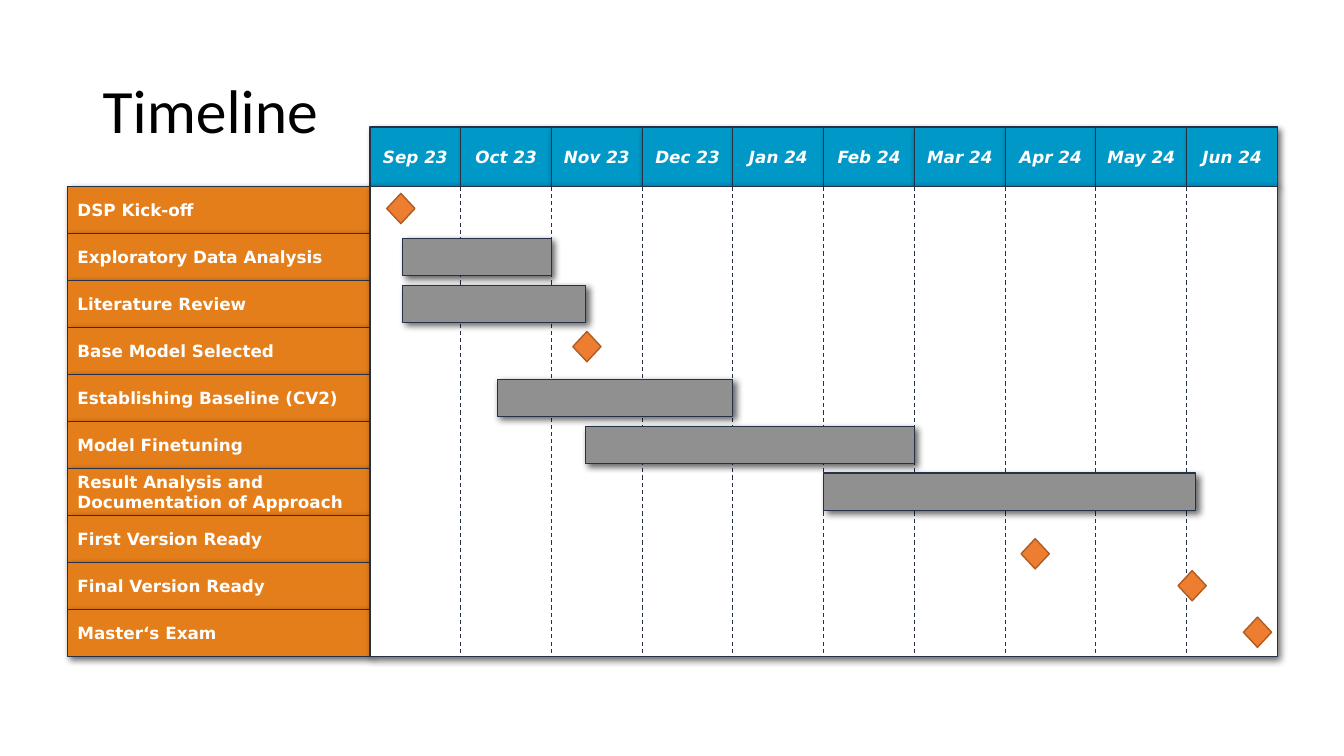
from dataclasses import dataclass

import lxml.etree
import pptx
import pptx.dml.color
import pptx.enum.dml
import pptx.enum.shapes
import pptx.enum.text
import pptx.oxml
import pptx.oxml.ns
import pptx.util
from pptx.util import Inches, Pt

Shape = pptx.enum.shapes.MSO_SHAPE
Align = pptx.enum.text.PP_ALIGN


@dataclass(frozen=True)
class Theme:
    """Colours, fonts and type sizes of the slide."""
    month: str = "0098C7"
    task: str = "E47E1A"
    bar: str = "909090"
    milestone: str = "ED7D31"
    milestone_line: str = "AF5C24"
    outline: str = "263147"
    light: str = "FFFFFF"
    dark: str = "000000"
    title_font: str = "Calibri"
    label_font: str = "DejaVu Sans"
    title_size: int = 44
    label_size: int = 12


@dataclass(frozen=True)
class Box:
    """A rectangle in inches."""
    left: float
    top: float
    width: float
    height: float

    def lengths(self):
        """Return the four measures as slide lengths."""
        return [Inches(value) for value in (self.left, self.top, self.width, self.height)]


THEME = Theme()
MONTHS = ["Sep 23", "Oct 23", "Nov 23", "Dec 23", "Jan 24",
          "Feb 24", "Mar 24", "Apr 24", "May 24", "Jun 24"]
TASKS = ["DSP Kick-off", "Exploratory Data Analysis", "Literature Review",
         "Base Model Selected", "Establishing Baseline (CV2)", "Model Finetuning",
         "Result Analysis and Documentation of Approach", "First Version Ready",
         "Final Version Ready", "Master‘s Exam"]
# Bars hold row, first month and last month; milestones hold row and month.
BARS = [(1, 0.36, 2), (2, 0.36, 2.38), (4, 1.4, 4), (5, 2.37, 6), (6, 5, 9.1)]
MILESTONES = [(0.47, 0.34), (3.41, 2.39), (8.5, 9.06), (9.49, 9.78), (7.82, 7.33)]


def colour(code):
    """Turn a hex code into a colour."""
    return pptx.dml.color.RGBColor.from_string(code)


def add_shadow(shape):
    """Give a shape a soft shadow to the lower right."""
    effects = shape._element.spPr.find(pptx.oxml.ns.qn("a:effectLst"))
    shadow = lxml.etree.SubElement(
        effects, pptx.oxml.ns.qn("a:outerShdw"), blurRad=str(Pt(5)), dist=str(Pt(2.9)),
        dir="2700000", algn="tl", rotWithShape="0")
    tint = lxml.etree.SubElement(shadow, pptx.oxml.ns.qn("a:srgbClr"), val=THEME.dark)
    lxml.etree.SubElement(tint, pptx.oxml.ns.qn("a:alpha"), val="60000")


def add_block(slide, box, fill, kind=Shape.RECTANGLE, line=THEME.outline, width=0.75, shadow=True):
    """Draw a filled and outlined shape."""
    shape = slide.shapes.add_shape(kind, *box.lengths())
    shape.fill.solid()
    shape.fill.fore_color.rgb = colour(fill)
    shape.line.color.rgb = colour(line)
    shape.line.width = Pt(width)
    shape.shadow.inherit = False
    if shadow:
        add_shadow(shape)
    return shape


def set_text(shape, text, alignment, margin, italic=False):
    """Write a bold white label into a shape."""
    frame = shape.text_frame
    frame.word_wrap = True
    frame.vertical_anchor = pptx.enum.text.MSO_ANCHOR.MIDDLE
    frame.margin_left = frame.margin_right = Inches(margin)
    frame.margin_top = frame.margin_bottom = Inches(margin)
    paragraph = frame.paragraphs[0]
    paragraph.text = text
    paragraph.alignment = alignment
    paragraph.font.name = THEME.label_font
    paragraph.font.size = Pt(THEME.label_size)
    paragraph.font.bold = True
    paragraph.font.italic = italic
    paragraph.font.color.rgb = colour(THEME.light)


def add_title(slide, box, text):
    """Write the slide title."""
    frame = slide.shapes.add_textbox(*box.lengths()).text_frame
    frame.word_wrap = True
    frame.vertical_anchor = pptx.enum.text.MSO_ANCHOR.MIDDLE
    paragraph = frame.paragraphs[0]
    paragraph.text = text
    paragraph.line_spacing = 0.9
    paragraph.font.name = THEME.title_font
    paragraph.font.size = Pt(THEME.title_size)
    paragraph.font.color.rgb = colour(THEME.dark)


def add_month_header(slide, box):
    """Draw one header cell per month."""
    width = box.width / len(MONTHS)
    for index, month in enumerate(MONTHS):
        cell = Box(box.left + index * width, box.top, width, box.height)
        set_text(add_block(slide, cell, THEME.month), month, Align.CENTER, 0, italic=True)


def add_task_column(slide, box):
    """Draw one label cell per task."""
    height = box.height / len(TASKS)
    for index, task in enumerate(TASKS):
        cell = Box(box.left, box.top + index * height, box.width, height)
        set_text(add_block(slide, cell, THEME.task), task, Align.LEFT, 0.1)


def add_chart_area(slide, box):
    """Draw the month grid with its bars and milestones."""
    add_block(slide, box, THEME.light)
    month_width = box.width / len(MONTHS)
    row_height = box.height / len(TASKS)
    for index in range(1, len(MONTHS)):
        x = Inches(box.left + index * month_width)
        line = slide.shapes.add_connector(
            pptx.enum.shapes.MSO_CONNECTOR.STRAIGHT,
            x, Inches(box.top), x, Inches(box.top + box.height))
        line.line.color.rgb = colour(THEME.outline)
        line.line.width = Pt(0.75)
        line.line.dash_style = pptx.enum.dml.MSO_LINE.DASH
        lxml.etree.SubElement(line._element.spPr, pptx.oxml.ns.qn("a:effectLst"))
    bar_height = 0.8 * row_height
    for row, start, end in BARS:
        top = box.top + row * row_height + (row_height - bar_height) / 2
        add_block(slide, Box(box.left + start * month_width, top,
                             (end - start) * month_width, bar_height), THEME.bar)
    width, height = 0.28, 0.3
    for row, month in MILESTONES:
        diamond = Box(box.left + month * month_width - width / 2,
                      box.top + row * row_height - height / 2, width, height)
        add_block(slide, diamond, THEME.milestone, Shape.FLOWCHART_DECISION,
                  THEME.milestone_line, 1, shadow=False)


def main():
    """Build the timeline slide and save it."""
    presentation = pptx.Presentation()
    presentation.slide_width = Inches(13.33)
    presentation.slide_height = Inches(7.5)
    slide = presentation.slides.add_slide(presentation.slide_layouts[6])
    add_title(slide, Box(0.92, 0.4, 11.5, 1.45), "Timeline")
    add_month_header(slide, Box(3.67, 1.26, 9, 0.59))
    add_task_column(slide, Box(0.67, 1.85, 3, 4.66))
    add_chart_area(slide, Box(3.67, 1.85, 9, 4.66))
    presentation.save("out.pptx")


if __name__ == "__main__":
    main()
